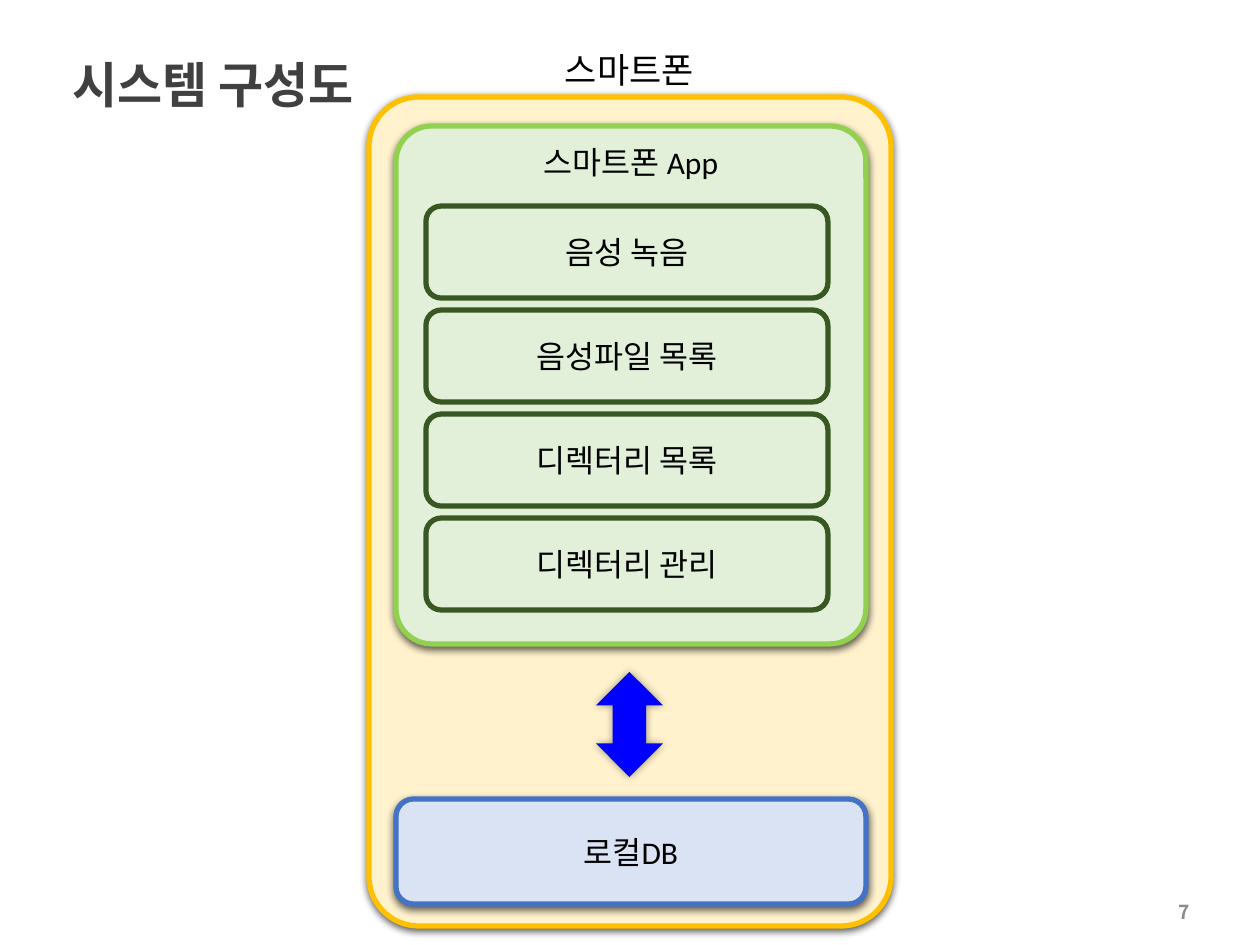
"""Build the system diagram slide: smartphone, app modules and local database."""
from lxml.etree import SubElement
from pptx import Presentation
from pptx.dml.color import RGBColor
from pptx.enum.shapes import MSO_SHAPE
from pptx.enum.text import MSO_ANCHOR, PP_ALIGN
from pptx.oxml.ns import qn
from pptx.util import Emu, Pt

PIXEL = 914400 // 126
KOREAN_FONT = "Noto Sans CJK KR"
COLORS = {
    "title": "404040", "number": "8C8C8C", "text": "000000",
    "phone": "FFF2CC", "phone_line": "FFC000",
    "app": "E2F0D9", "app_line": "92D050", "module_line": "385723",
    "database": "DAE3F3", "database_line": "4472C4", "arrow": "0000FF",
}


def color(name):
    return RGBColor.from_string(COLORS[name])


def write(box, text, size=18, font="Calibri", ink="text", bold=False,
          align=PP_ALIGN.CENTER, anchor=MSO_ANCHOR.MIDDLE, spacing=None):
    """Put one formatted paragraph into a box."""
    frame = box.text_frame
    frame.word_wrap = True
    frame.vertical_anchor = anchor
    para = frame.paragraphs[0]
    para.alignment = align
    para.line_spacing = spacing
    span = para.add_run()
    span.text = text
    span.font.size = Pt(size)
    span.font.bold = bold
    span.font.color.rgb = color(ink)
    span.font.name = font
    SubElement(span.font._element, qn("a:ea"), typeface=KOREAN_FONT)


deck = Presentation()
deck.slide_width, deck.slide_height = Emu(9144000), Emu(6858000)
page = deck.slides.add_slide(deck.slide_layouts[6])

rounded = MSO_SHAPE.ROUNDED_RECTANGLE
soft, glow = (63, 4.5, 1.5), (40, 5, 0)
shapes = [
    ("phone", rounded, (369, 97, 522, 829), 0.095, soft, None),
    ("database", rounded, (396, 799, 470, 105), None, soft, "로컬DB"),
    ("app", rounded, (396, 126, 470, 518), 0.076, soft, "스마트폰 App"),
]
modules = ["음성 녹음", "음성파일 목록", "디렉터리 목록", "디렉터리 관리"]
for index, module in enumerate(modules):
    place = (426, 206 + 104 * index, 402, 92)
    shapes.append(("module", rounded, place, None, None, module))
shapes.append(("arrow", MSO_SHAPE.UP_DOWN_ARROW, (596, 672, 67, 105), None, glow, None))

for name, preset, place, corner, shadow, text in shapes:
    box = page.shapes.add_shape(preset, *(Emu(value * PIXEL) for value in place))
    if corner:
        box.adjustments[0] = corner
    if name in COLORS:
        box.fill.solid()
        box.fill.fore_color.rgb = color(name)
    else:
        box.fill.background()
    if name + "_line" in COLORS:
        box.line.color.rgb = color(name + "_line")
        box.line.width = Pt(3)
    else:
        box.line.fill.background()
    box.shadow.inherit = False
    if shadow:
        opacity, blur, distance = shadow
        effects = box._element.spPr.find(qn("a:effectLst"))
        outer = SubElement(effects, qn("a:outerShdw"), blurRad=str(Pt(blur)),
                           dist=str(Pt(distance)), dir="5400000",
                           algn="ctr", rotWithShape="0")
        shade = SubElement(outer, qn("a:srgbClr"), val="000000")
        SubElement(shade, qn("a:alpha"), val=str(opacity * 1000))
    if text:
        write(box, text, anchor=MSO_ANCHOR.TOP if name == "app" else MSO_ANCHOR.MIDDLE)

labels = [
    ("시스템 구성도", (60, 19, 1142, 101),
     dict(size=28, font=KOREAN_FONT, ink="title", bold=True, align=PP_ALIGN.LEFT,
          anchor=MSO_ANCHOR.BOTTOM, spacing=0.9)),
    ("스마트폰", (479, 42, 301, 55), dict(size=20, anchor=MSO_ANCHOR.TOP)),
    ("7", (919, 897, 283, 29),
     dict(size=11, font=KOREAN_FONT, ink="number", bold=True, align=PP_ALIGN.RIGHT)),
]
for text, place, style in labels:
    box = page.shapes.add_textbox(*(Emu(value * PIXEL) for value in place))
    write(box, text, **style)

deck.save("out.pptx")
